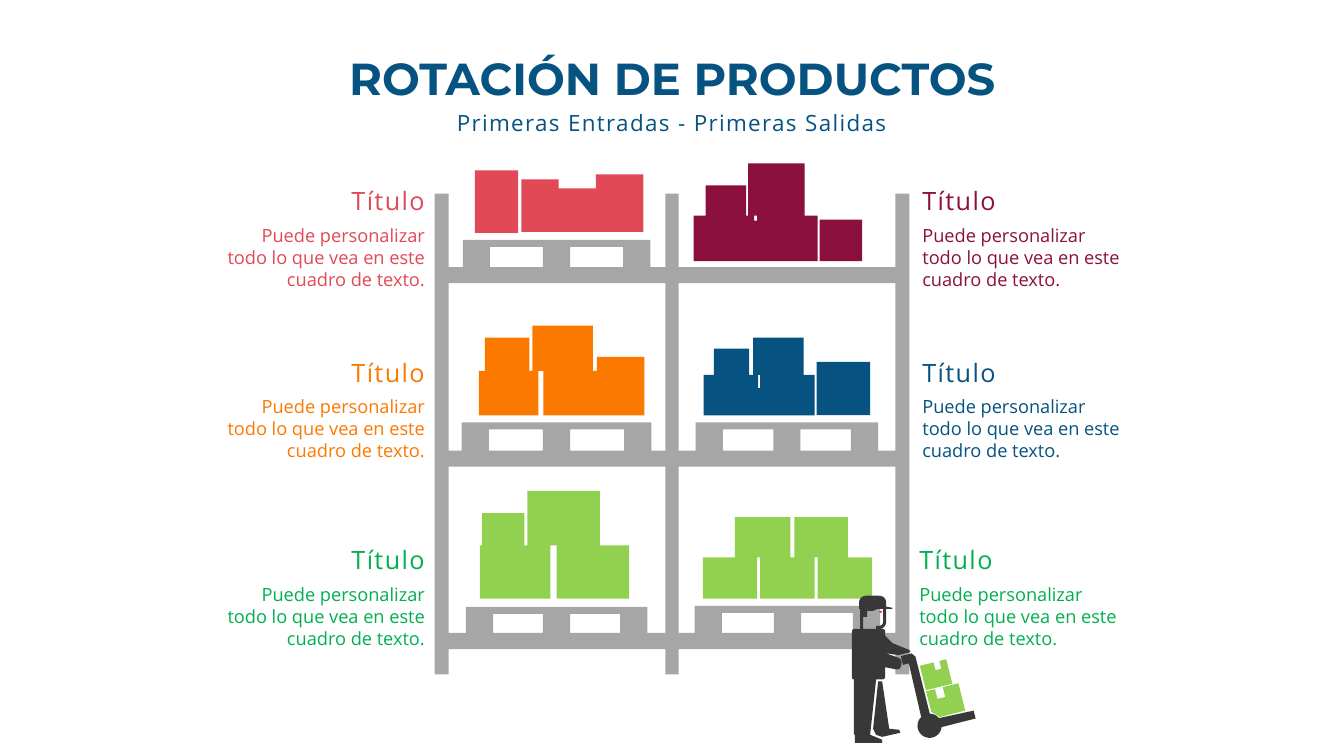
from math import cos, radians, sin

from pptx import Presentation
from pptx.dml.color import RGBColor
from pptx.enum.shapes import MSO_SHAPE as Preset
from pptx.enum.text import MSO_ANCHOR as Anchor, MSO_AUTO_SIZE as AutoSize, PP_ALIGN as Align
from pptx.util import Inches, Pt

GREY, DARK = "A6A6A6", "383838"
RED, MAROON, ORANGE, BLUE = "E24956", "8C103D", "FC7900", "065280"
LIME, GREEN = "92D050", "00B050"
CAPTION = "Puede personalizar todo lo que vea en este cuadro de texto."
UNITS_PER_INCH = 1000

POSTS = [(4.31, 4.45), (6.6, 6.73), (8.88, 9.02)]
BEAMS = [(2.65, 2.81), (4.47, 4.63), (6.28, 6.44)]
RACK_TOP, RACK_BOTTOM = 1.92, 6.69
TOP_PALLET = (4.59, 6.45, 2.38)
SHELF_PALLETS = [[(4.58, 6.46, 4.19), (6.9, 8.71, 4.19)],
                 [(4.62, 6.42, 6.02), (6.89, 8.73, 6.01)]]
PALLET_FOOT, PALLET_BOARD = 0.27, 0.07

TRUCK_WHEEL, WHEEL_RADIUS, TRUCK_TILT = (9.22, 7.2), 0.12, 14


def paint(shape, color):
    """Give a shape a flat fill without line or shadow."""
    shape.fill.solid()
    shape.fill.fore_color.rgb = RGBColor.from_string(color)
    shape.line.fill.background()
    shape.shadow.inherit = False


def add_outline(shapes, color, *contours):
    """Draw closed contours, given in inches, as one filled freeform."""
    builder = None
    for contour in contours:
        points = [(round(x * UNITS_PER_INCH), round(y * UNITS_PER_INCH)) for x, y in contour]
        if builder is None:
            builder = shapes.build_freeform(*points[0], scale=Inches(1) / UNITS_PER_INCH)
        else:
            builder.move_to(*points[0])
        builder.add_line_segments(points[1:], close=True)
    paint(builder.convert_to_shape(), color)


def add_preset(shapes, preset, color, *box):
    """Draw a filled preset shape."""
    paint(shapes.add_shape(preset, *map(Inches, box)), color)


def rectangle(left, right, top, bottom):
    """Return the corners of a rectangle."""
    return [(left, top), (right, top), (right, bottom), (left, bottom)]


def toward(start, end, distance):
    """Return the point at a distance from start on the way to end."""
    across, down = end[0] - start[0], end[1] - start[1]
    share = distance / (across ** 2 + down ** 2) ** 0.5
    return start[0] + share * across, start[1] + share * down


def rounded(corners):
    """Return an outline in which each corner with a radius as third value is curved."""
    outline = []
    for index, (x, y, *radius) in enumerate(corners):
        if not radius:
            outline.append((x, y))
            continue
        entry = toward((x, y), corners[index - 1], radius[0])
        leave = toward((x, y), corners[(index + 1) % len(corners)], radius[0])
        for step in range(7):
            t = step / 6
            outline.append(tuple((1 - t) ** 2 * a + 2 * t * (1 - t) * b + t ** 2 * c
                                 for a, b, c in zip(entry, (x, y), leave)))
    return outline


def pallet_profile(pallet, floor):
    """Return a pallet's silhouette from its left foot to its right foot."""
    left, right, top = pallet
    return [(left, floor), (left, top), (right, top), (right, floor)]


def pallet_windows(pallet, floor):
    """Return the two fork openings between a pallet's three feet."""
    left, right, top = pallet
    width = (right - left - 3 * PALLET_FOOT) / 2
    starts = [left + PALLET_FOOT, right - PALLET_FOOT - width]
    return [rectangle(x, x + width, floor, top + PALLET_BOARD) for x in starts]


def add_rack(shapes):
    """Draw the rack with its posts, beams and pallets."""
    bays = [(post[1], following[0]) for post, following in zip(POSTS, POSTS[1:])]
    left, right = POSTS[0][0], POSTS[-1][1]
    shelf, base = BEAMS[0][0], BEAMS[-1][1]
    outline = [(left, RACK_TOP)]
    for (start, end), load in zip(bays, [pallet_profile(TOP_PALLET, shelf), []]):
        outline += [(start, RACK_TOP), (start, shelf), *load, (end, shelf), (end, RACK_TOP)]
    outline += [(right, RACK_TOP), (right, RACK_BOTTOM)]
    for start, end in reversed(bays):
        outline += [(end, RACK_BOTTOM), (end, base), (start, base), (start, RACK_BOTTOM)]
    outline.append((left, RACK_BOTTOM))
    openings = pallet_windows(TOP_PALLET, shelf)
    for (_, ceiling), (floor, _), pallets in zip(BEAMS, BEAMS[1:], SHELF_PALLETS):
        for (start, end), pallet in zip(bays, pallets):
            openings.append([(start, ceiling), (start, floor), *pallet_profile(pallet, floor),
                             (end, floor), (end, ceiling)])
            openings += pallet_windows(pallet, floor)
    add_outline(shapes, GREY, outline, *openings)


def add_stack(shapes, color, floor, lower, shelf=0, upper=(), slit=None):
    """Draw boxes (left, right, top) on the floor and on the lower tier's shelf."""
    contours = [rectangle(*box, floor) for box in lower]
    contours += [rectangle(*box, shelf) for box in upper]
    if slit:
        left, right, depth = slit
        contours.append(rectangle(left, right, shelf + depth, shelf))
    add_outline(shapes, color, *contours)


def add_stacks(shapes):
    """Draw the six loads and the boxes that stand beside them."""
    add_stack(shapes, LIME, 5.94, [(4.76, 5.46, 5.41), (5.52, 6.24, 5.41)],
              5.41, [(4.78, 5.2, 5.09), (5.23, 5.95, 4.87)])
    row_of_three = [(6.97 + 0.57 * column, 7.51 + 0.57 * column, 5.53) for column in range(3)]
    add_stack(shapes, LIME, 5.94, row_of_three,
              5.53, [(7.29, 7.84, 5.13), (7.88, 8.41, 5.13)])
    add_stack(shapes, ORANGE, 4.12, [(4.75, 5.34, 3.68), (5.39, 5.92, 3.68), (5.92, 6.39, 3.54)],
              3.68, [(4.81, 5.25, 3.35), (5.28, 5.88, 3.23)])
    add_stack(shapes, BLUE, 4.12, [(6.98, 8.08, 3.72)],
              3.72, [(7.08, 7.43, 3.46), (7.47, 7.97, 3.35)], slit=(7.52, 7.54, 0.13))
    add_stack(shapes, RED, 2.3, [(5.17, 5.54, 1.78), (5.54, 5.91, 1.87), (5.91, 6.38, 1.73)])
    add_stack(shapes, MAROON, 2.59, [(6.88, 8.11, 2.14)],
              2.14, [(7, 7.4, 1.84), (7.42, 7.98, 1.62)], slit=(7.48, 7.51, 0.05))
    add_preset(shapes, Preset.RECTANGLE, BLUE, 8.1, 3.59, 0.53, 0.53)
    add_preset(shapes, Preset.RECTANGLE, RED, 4.71, 1.69, 0.43, 0.62)
    add_preset(shapes, Preset.RECTANGLE, MAROON, 8.13, 2.18, 0.42, 0.41)


def tilted(points):
    """Turn (along, up) distances from the wheel's centre into slide positions."""
    x, y = TRUCK_WHEEL
    cosine, sine = cos(radians(TRUCK_TILT)), sin(radians(TRUCK_TILT))
    return [(x + along * cosine - up * sine, y - along * sine - up * cosine)
            for along, up in points]


def wheel_arc(start, end):
    """Return points on the wheel's rim, clockwise between two angles."""
    return [(WHEEL_RADIUS * cos(radians(angle)), WHEEL_RADIUS * sin(radians(angle)))
            for angle in range(start, end - 1, -10)]


def parcel(left, right, bottom, top, notch, depth, chamfer=0):
    """Return a parcel on the truck with a tape notch in its upper edge."""
    start, end = notch
    return tilted([(left, bottom + chamfer), (left, top), (start, top), (start, top - depth),
                   (end, top - depth), (end, top), (right, top), (right, bottom),
                   (left + chamfer, bottom)])


def add_hand_truck(shapes):
    """Draw the tilted hand truck and its two parcels."""
    handle = [(-0.11, 0.65), (-0.11, 0.74), (0, 0.74), (0.03, 0.7)]
    plate = [(0.46, 0.04), (0.46, -0.04)]
    add_outline(shapes, LIME, parcel(0.05, 0.38, 0.06, 0.34, (0.14, 0.22), 0.1, chamfer=0.07))
    add_outline(shapes, LIME, parcel(0.05, 0.32, 0.35, 0.6, (0.19, 0.25), 0.08))
    add_outline(shapes, DARK, tilted([*handle, *wheel_arc(75, 20), *plate,
                                      *wheel_arc(-20, -240), (-0.05, 0.65)]))


def add_worker(slide):
    """Draw the worker pushing a loaded hand truck as one group."""
    shapes = slide.shapes.add_group_shape().shapes
    cap = [(8.53, 6.04), (8.52, 6.04), (8.52, 5.91, 0.08), (8.79, 5.91, 0.08), (8.79, 6.02),
           (8.85, 6.03), (8.85, 6.04), (8.79, 6.04)]
    jaw = [(8.79, 6.24, 0.08), (8.71, 6.24)]
    arm = [(8.78, 6.24, 0.03), (8.78, 6.31), (8.85, 6.38), (9.02, 6.45), (9.03, 6.47),
           (8.91, 6.5), (8.78, 6.48)]
    hand = [(8.95, 6.54, 0.05), (8.93, 6.65, 0.05), (8.78, 6.62)]
    leg = [(8.78, 6.74, 0.03), (8.69, 6.74), (8.63, 7.29)]
    shoe = [(8.75, 7.34), (8.75, 7.37), (8.48, 7.37), (8.48, 7.29), (8.47, 7.29)]
    back = [(8.47, 6.74), (8.45, 6.74, 0.02), (8.45, 6.24, 0.03), (8.53, 6.24)]
    face = [(8.56, 6.12), (8.6, 6.12), (8.6, 6.06), (8.66, 6.06), (8.71, 6.04), (8.76, 6.04),
            (8.76, 6.21, 0.05), (8.69, 6.21), (8.69, 6.24), (8.56, 6.24)]
    far_leg = [(8.82, 7.23), (8.75, 6.76), (8.71, 6.76), (8.66, 7.23)]
    far_shoe = [(8.69, 7.29), (8.75, 7.31), (8.93, 7.27), (8.92, 7.24)]
    add_outline(shapes, DARK, far_leg + far_shoe)
    add_hand_truck(shapes)
    add_outline(shapes, DARK, rounded(cap + jaw + arm + hand + leg + shoe + back), rounded(face))
    add_preset(shapes, Preset.OVAL, RED, 8.72, 6.06, 0.03, 0.02)


def write(frame, text, size, color, align, font="Open Sans", bold=False, tracking=0):
    """Write one formatted run into a text frame."""
    frame.word_wrap = True
    paragraph = frame.paragraphs[0]
    paragraph.alignment = align
    run = paragraph.add_run()
    run.text = text
    run.font.name, run.font.size, run.font.bold = font, Pt(size), bold
    run.font.color.rgb = RGBColor.from_string(color)
    if tracking:
        run.font._element.set("spc", str(tracking * 100))


def add_text(slide, box, text, size, color, align, tracking=0):
    """Add a vertically centred text box."""
    frame = slide.shapes.add_textbox(*map(Inches, box)).text_frame
    frame.auto_size = AutoSize.SHAPE_TO_FIT_TEXT
    frame.vertical_anchor = Anchor.MIDDLE
    write(frame, text, size, color, align, tracking=tracking)


def add_caption(slide, edge, top, color, align):
    """Add a heading and its text, aligned to the rack side at edge."""
    for text, size, width, offset, height, tracking in [
            (CAPTION, 13, 2.24, 0.38, 0.76, 0), ("Título", 18, 2.09, 0, 0.4, 1)]:
        left = edge - width if align == Align.RIGHT else edge
        add_text(slide, (left, top + offset, width, height), text, size, color, align, tracking)


def add_title(slide, text):
    """Place and format the slide title."""
    title = slide.shapes.title
    title.left, title.top, title.width, title.height = map(Inches, (1.57, 0.5, 10.2, 0.72))
    frame = title.text_frame
    frame.margin_left = frame.margin_right = frame.margin_top = frame.margin_bottom = 0
    frame.vertical_anchor = Anchor.TOP
    frame.auto_size = AutoSize.NONE
    write(frame, text, 32, BLUE, Align.CENTER, font="Montserrat", bold=True)


def main():
    """Build the slide and save it."""
    presentation = Presentation()
    presentation.slide_width, presentation.slide_height = Inches(13.33), Inches(7.5)
    slide = presentation.slides.add_slide(presentation.slide_layouts[5])
    add_title(slide, "ROTACIÓN DE PRODUCTOS")
    add_rack(slide.shapes)
    add_stacks(slide.shapes)
    for top, left_color, right_color, right_edge in [
            (1.79, RED, MAROON, 9.05), (3.49, ORANGE, BLUE, 9.05), (5.35, GREEN, GREEN, 9.02)]:
        add_caption(slide, right_edge, top, right_color, Align.LEFT)
        add_caption(slide, 4.31, top, left_color, Align.RIGHT)
    add_text(slide, (4.16, 1.03, 5.01, 0.37), "Primeras Entradas - Primeras Salidas", 16, BLUE,
             Align.CENTER, tracking=1)
    add_worker(slide)
    presentation.save("out.pptx")


if __name__ == "__main__":
    main()
